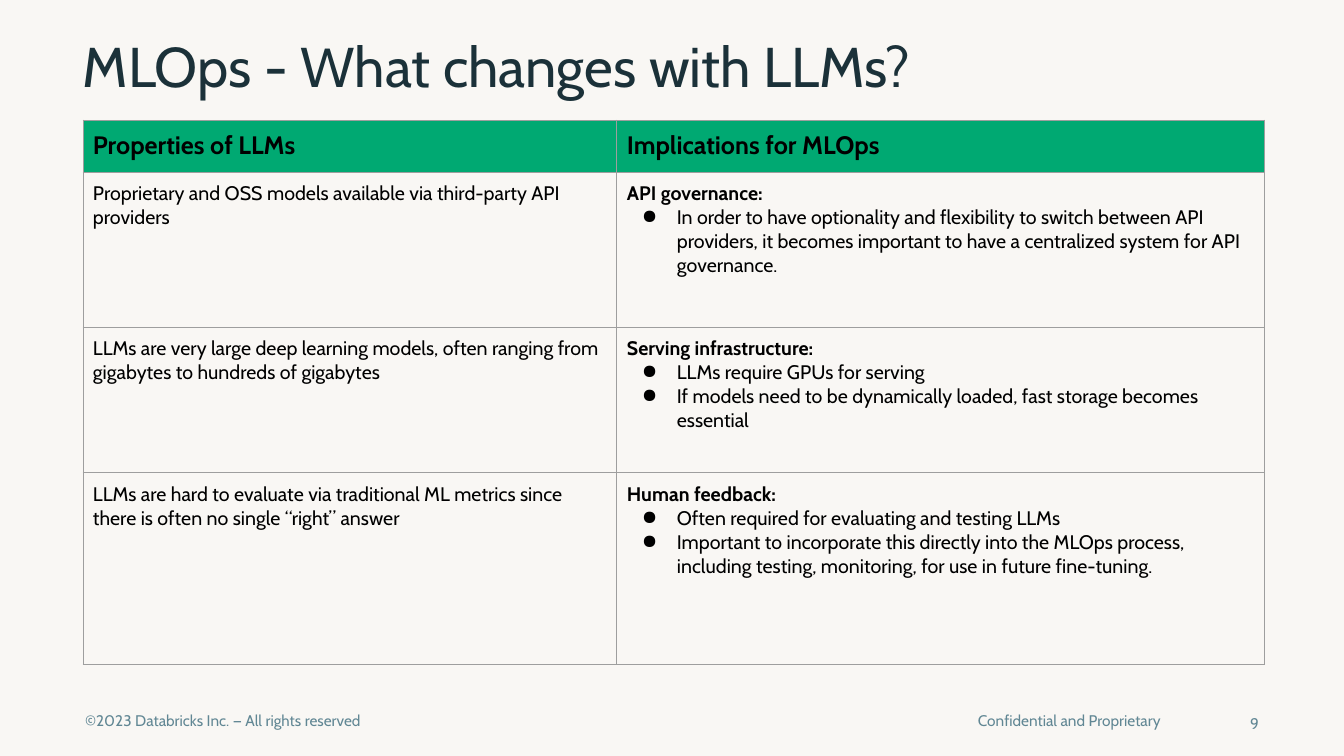
import pptx
import pptx.util
from lxml import etree
from pptx.dml.color import RGBColor
from pptx.enum.text import MSO_ANCHOR, MSO_AUTO_SIZE, PP_ALIGN
from pptx.oxml.ns import qn

PX = 914400 / 100.8
FONT = "Cabin"
PAPER = RGBColor(0xF9, 0xF7, 0xF4)
NAVY = RGBColor(0x1B, 0x31, 0x39)
SLATE = RGBColor(0x61, 0x87, 0x94)
GREEN = RGBColor(0x00, 0xA9, 0x72)
GREY = RGBColor(0x9E, 0x9E, 0x9E)
BLACK = RGBColor(0x00, 0x00, 0x00)

COLUMN_WIDTHS = [534, 648]
ROW_HEIGHTS = [52, 155, 146, 192]
HEADERS = ["Properties of LLMs", "Implications for MLOps"]
# Each row: property, implication heading, implication bullets
ROWS = [
    ("Proprietary and OSS models available via third-party API providers",
     "API governance:",
     ["In order to have optionality and flexibility to switch between API providers, "
      "it becomes important to have a centralized system for API governance."]),
    ("LLMs are very large deep learning models, often ranging from gigabytes "
     "to hundreds of gigabytes",
     "Serving infrastructure:",
     ["LLMs require GPUs for serving",
      "If models need to be dynamically loaded, fast storage becomes essential"]),
    ("LLMs are hard to evaluate via traditional ML metrics since there is often "
     "no single “right” answer",
     "Human feedback:",
     ["Often required for evaluating and testing LLMs",
      "Important to incorporate this directly into the MLOps process, including "
      "testing, monitoring, for use in future fine-tuning."]),
]


def px(length):
    return pptx.util.Emu(round(length * PX))


def set_font(para, size, color, bold=False):
    para.font.name = FONT
    para.font.size = pptx.util.Pt(size)
    para.font.bold = bold
    para.font.color.rgb = color


def set_margins(holder, margin):
    """Give a text frame or table cell the same margin on all sides."""
    holder.margin_left = holder.margin_right = px(margin)
    holder.margin_top = holder.margin_bottom = px(margin)


def add_title(page, text):
    title = page.shapes.title
    title.left, title.top, title.width, title.height = map(px, (83, 25, 1175, 89))
    frame = title.text_frame
    frame.auto_size = MSO_AUTO_SIZE.NONE
    frame.vertical_anchor = MSO_ANCHOR.MIDDLE
    set_margins(frame, 0)
    para = frame.paragraphs[0]
    para.text = text
    para.alignment = PP_ALIGN.LEFT
    para.line_spacing = 0.9
    set_font(para, 40, NAVY)


def add_footer(page, text, bounds, margin, alignment):
    box = page.shapes.add_textbox(*map(px, bounds))
    frame = box.text_frame
    frame.word_wrap = True
    set_margins(frame, margin)
    para = frame.paragraphs[0]
    para.text = text
    para.alignment = alignment
    set_font(para, 11, SLATE)


def add_bullet(para):
    properties = para._p.get_or_add_pPr()
    properties.set("marL", str(px(50)))
    properties.set("indent", str(px(-35)))
    color = etree.SubElement(properties, qn("a:buClr"))
    etree.SubElement(color, qn("a:srgbClr"), val=str(BLACK))
    etree.SubElement(properties, qn("a:buChar"), char="●")


def add_borders(cell):
    properties = cell._tc.get_or_add_tcPr()
    for side in ("a:lnL", "a:lnR", "a:lnT", "a:lnB"):
        line = etree.SubElement(properties, qn(side), w=str(pptx.util.Pt(0.75)))
        fill = etree.SubElement(line, qn("a:solidFill"))
        etree.SubElement(fill, qn("a:srgbClr"), val=str(GREY))


def fill_cell(cell, text, size=14, bold=False, bullets=(), color=None):
    set_margins(cell, 10)
    add_borders(cell)
    if color is None:
        cell.fill.background()
    else:
        cell.fill.solid()
        cell.fill.fore_color.rgb = color
    frame = cell.text_frame
    para = frame.paragraphs[0]
    para.text = text
    set_font(para, size, BLACK, bold)
    for bullet in bullets:
        para = frame.add_paragraph()
        para.text = bullet
        add_bullet(para)
        set_font(para, size, BLACK)


def add_comparison(page):
    bounds = (83, 120, sum(COLUMN_WIDTHS), sum(ROW_HEIGHTS))
    table = page.shapes.add_table(
        len(ROW_HEIGHTS), len(COLUMN_WIDTHS), *map(px, bounds)).table
    table.first_row = table.horz_banding = False
    for column, width in zip(table.columns, COLUMN_WIDTHS):
        column.width = px(width)
    for row, height in zip(table.rows, ROW_HEIGHTS):
        row.height = px(height)
    for index, header in enumerate(HEADERS):
        fill_cell(table.cell(0, index), header, size=18, bold=True, color=GREEN)
    for index, (trait, heading, bullets) in enumerate(ROWS, start=1):
        fill_cell(table.cell(index, 0), trait)
        fill_cell(table.cell(index, 1), heading, bold=True, bullets=bullets)


def main():
    deck = pptx.Presentation()
    deck.slide_width, deck.slide_height = px(1344), px(756)
    page = deck.slides.add_slide(deck.slide_layouts[5])
    page.background.fill.solid()
    page.background.fill.fore_color.rgb = PAPER
    add_footer(page, "©2023 Databricks Inc. — All rights reserved",
               (72, 702, 593, 45), 13, PP_ALIGN.LEFT)
    add_footer(page, "Confidential and Proprietary",
               (705, 702, 469, 45), 13, PP_ALIGN.RIGHT)
    add_footer(page, "9", (1224, 714, 35, 20), 0, PP_ALIGN.RIGHT)
    add_title(page, "MLOps - What changes with LLMs?")
    add_comparison(page)
    deck.save("out.pptx")


if __name__ == "__main__":
    main()
